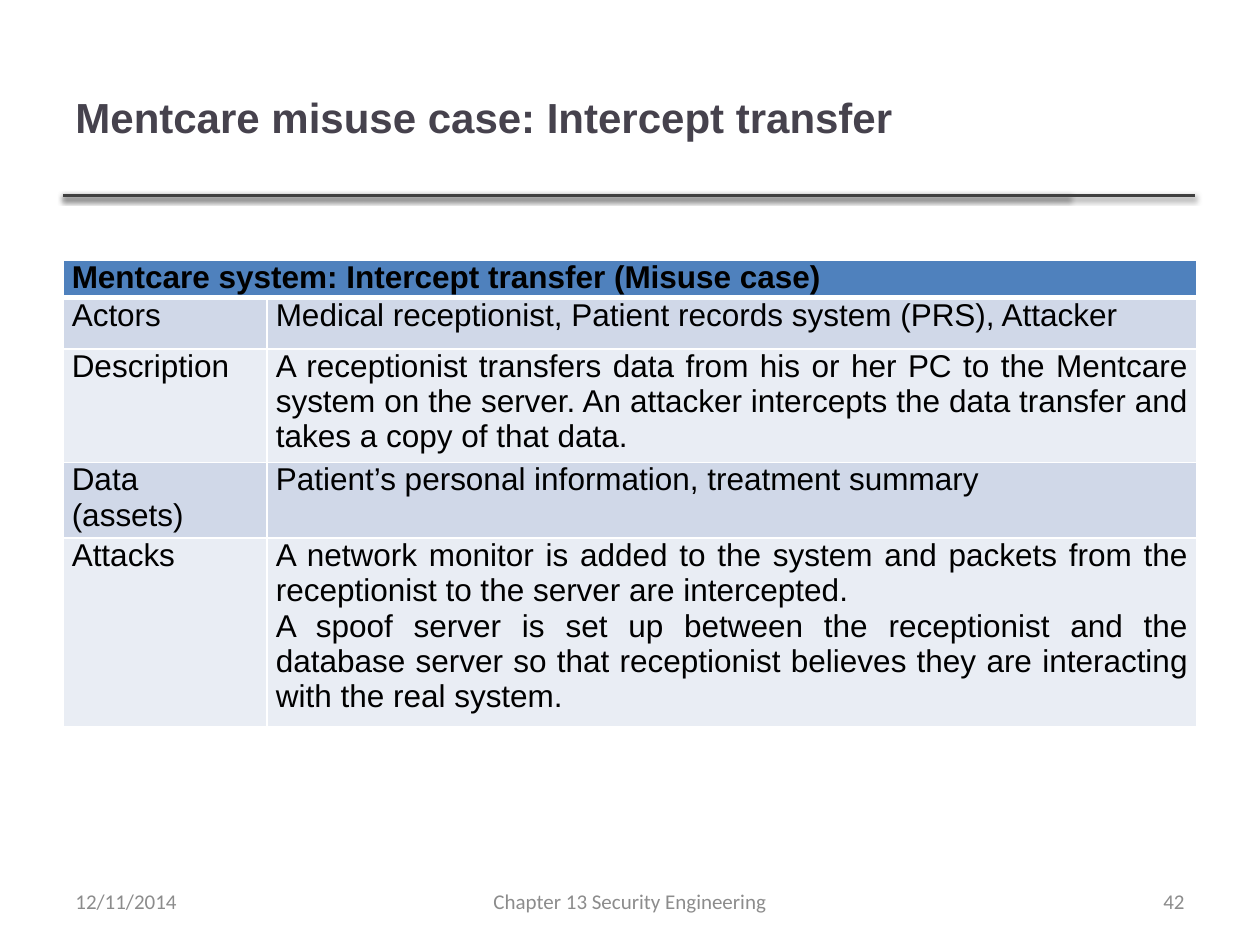
from lxml.etree import SubElement
from pptx import Presentation
from pptx.dml.color import RGBColor
from pptx.enum.shapes import MSO_CONNECTOR
from pptx.enum.text import MSO_ANCHOR, PP_ALIGN
from pptx.oxml import parse_xml
from pptx.oxml.ns import nsdecls, qn
from pptx.util import Pt

TITLE = {"name": "Arial", "size": Pt(24), "bold": True}
HEADER = {"name": "Arial", "size": Pt(18), "bold": True}
BODY = {"name": "Arial", "size": Pt(18), "bold": False}
FOOTER = {"name": "Calibri", "size": Pt(12), "bold": False}
CELL = {
    "margin_left": Pt(5.04), "margin_right": Pt(5.04),
    "margin_top": 0, "margin_bottom": 0,
}
PLAIN_TABLE = {"first_row": False, "horz_banding": False}
HEADING = "Mentcare system: Intercept transfer (Misuse case)"
ENTRIES = [
    ("Actors", "Medical receptionist, Patient records system (PRS), Attacker"),
    ("Description",
     "A receptionist transfers data from his or her PC to the Mentcare system on the server. "
     "An attacker intercepts the data transfer and takes a copy of that data."),
    ("Data (assets)", "Patient’s personal information, treatment summary"),
    ("Attacks",
     "A network monitor is added to the system and packets from the receptionist "
     "to the server are intercepted.\n"
     "A spoof server is set up between the receptionist and the database server so that "
     "receptionist believes they are interacting with the real system."),
]


def color(value):
    return RGBColor.from_string(value)


def apply(target, values):
    for name, value in values.items():
        setattr(target, name, value)


def write(frame, text, font, shade, align):
    for index, line in enumerate(text.split("\n")):
        para = frame.add_paragraph() if index else frame.paragraphs[0]
        para.alignment = align
        span = para.add_run()
        span.text = line
        apply(span.font, font)
        span.font.color.rgb = color(shade)


def add_text(page, box, text, font, shade, align=PP_ALIGN.LEFT):
    frame = page.shapes.add_textbox(*map(Pt, box)).text_frame
    apply(frame, {"word_wrap": True, "vertical_anchor": MSO_ANCHOR.MIDDLE})
    write(frame, text, font, shade, align)


def add_rule(page, left, top, width):
    rule = page.shapes.add_connector(
        MSO_CONNECTOR.STRAIGHT, Pt(left), Pt(top), Pt(left + width), Pt(top))
    rule.line.width = Pt(2)
    rule.line.color.rgb = color("404040")
    effects = SubElement(rule._element.spPr, qn("a:effectLst"))
    shadow = SubElement(effects, qn("a:outerShdw"), blurRad=str(Pt(3.1)),
                        dist=str(Pt(1.6)), dir="5400000", rotWithShape="0")
    black = SubElement(shadow, qn("a:srgbClr"), val="000000")
    SubElement(black, qn("a:alpha"), val="38000")


def add_header(page, left, top, width, height):
    for length in (width, width + 72):
        add_rule(page, left, top + height, length)
    add_text(page, (left, top, width, height),
             "Mentcare misuse case: Intercept transfer", TITLE, "46424D")


def add_borders(cell, widths):
    properties = cell._tc.get_or_add_tcPr()
    for index, (side, width) in enumerate(zip("LRTB", widths)):
        properties.insert(index, parse_xml(
            f'<a:ln{side} {nsdecls("a")} w="{Pt(width)}"><a:solidFill>'
            f'<a:srgbClr val="FFFFFF"/></a:solidFill></a:ln{side}>'))


def fill_cell(cell, text, font, fill, widths):
    apply(cell, CELL)
    write(cell.text_frame, text, font, "000000", PP_ALIGN.JUSTIFY)
    cell.fill.solid()
    cell.fill.fore_color.rgb = color(fill)
    add_borders(cell, widths)


def add_case_table(page, left, top, width):
    label_width, header_height, row_height = 116.6, 7.2, 29.2
    height = header_height + row_height * len(ENTRIES)
    table = page.shapes.add_table(
        len(ENTRIES) + 1, 2, *map(Pt, (left, top, width, height))).table
    apply(table, PLAIN_TABLE)
    for column, size in zip(table.columns, (label_width, width - label_width)):
        column.width = Pt(size)
    for index, row in enumerate(table.rows):
        row.height = Pt(row_height if index else header_height)
    table.cell(0, 0).merge(table.cell(0, 1))
    for column, text in enumerate((HEADING, "")):
        fill_cell(table.cell(0, column), text, HEADER, "4F81BD", (1, 1, 1, 3))
    for index, entry in enumerate(ENTRIES, 1):
        fill = "D0D8E8" if index % 2 else "E9EDF4"
        widths = (1, 1, 3 if index == 1 else 1, 1)
        for column, text in enumerate(entry):
            fill_cell(table.cell(index, column), text, BODY, fill, widths)


def add_footer(page, left, top, width, height):
    side, middle = 168, 228
    parts = [
        (left, side, "12/11/2014", PP_ALIGN.LEFT),
        (left + (width - middle) / 2, middle, "Chapter 13 Security Engineering", PP_ALIGN.CENTER),
        (left + width - side, side, "42", PP_ALIGN.RIGHT),
    ]
    for start, size, text, align in parts:
        add_text(page, (start, top, size, height), text, FOOTER, "8C8C8C", align)


def main():
    deck = Presentation()
    apply(deck, {"slide_width": Pt(720), "slide_height": Pt(540)})
    page = deck.slides.add_slide(deck.slide_layouts[6])
    add_header(page, 36, 21.6, 575, 90)
    add_case_table(page, 36, 148.5, 648)
    add_footer(page, 36, 500.5, 648, 28.8)
    deck.save("out.pptx")


if __name__ == "__main__":
    main()
